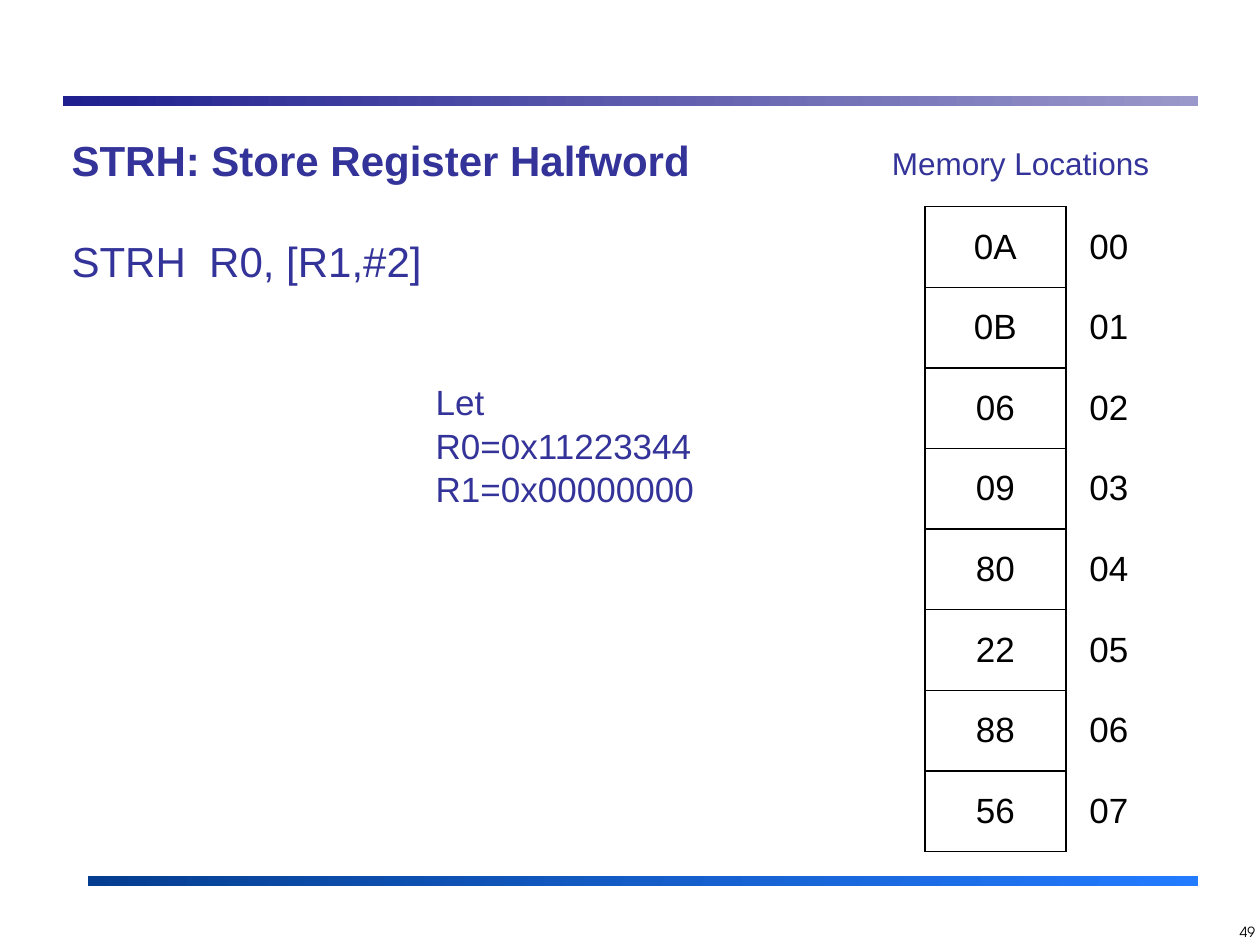
from dataclasses import dataclass

from lxml.etree import SubElement
from pptx import Presentation
from pptx.dml.color import RGBColor
from pptx.enum.shapes import MSO_SHAPE
from pptx.enum.text import MSO_ANCHOR, PP_ALIGN
from pptx.oxml.ns import qn
from pptx.util import Inches, Pt


@dataclass(frozen=True)
class Theme:
    font: str = "Arial"
    number_font: str = "TeX Gyre Adventor"
    accent: str = "333399"
    ink: str = "000000"
    title_size: float = 24
    body_size: float = 20
    label_size: float = 18
    number_size: float = 8
    border_width: float = 1


THEME = Theme()


@dataclass(frozen=True)
class Box:
    left: float
    top: float
    width: float
    height: float

    def lengths(self):
        return [Inches(n) for n in (self.left, self.top, self.width, self.height)]


@dataclass(frozen=True)
class Bar:
    box: Box
    start: str
    end: str


@dataclass(frozen=True)
class TextBlock:
    box: Box
    lines: tuple[str, ...]
    size: float
    color: str = THEME.accent
    font: str = THEME.font
    align: PP_ALIGN = PP_ALIGN.LEFT
    gap: float = 0
    bold_first: bool = False


BARS = (
    Bar(Box(0.5, 0.76, 9.01, 0.08), "1F1F8F", "9A97CA"),
    Bar(Box(0.7, 6.95, 8.81, 0.08), "053E90", "237BFF"),
)
TEXT_BLOCKS = (
    TextBlock(Box(0.47, 1.02, 6.64, 1.31),
              ("STRH: Store Register Halfword", "STRH  R0, [R1,#2]"),
              THEME.title_size, gap=29, bold_first=True),
    TextBlock(Box(5.86, 1.09, 3.36, 0.4), ("Memory Locations",),
              THEME.label_size, align=PP_ALIGN.RIGHT),
    TextBlock(Box(3.36, 2.97, 2.4, 1.11),
              ("Let", "R0=0x11223344", "R1=0x00000000"),
              THEME.body_size, gap=1),
    TextBlock(Box(9.62, 7.28, 0.44, 0.31), ("49",), THEME.number_size,
              THEME.ink, THEME.number_font, PP_ALIGN.RIGHT),
)
MEMORY_BOX = Box(7.34, 1.64, 1.8, 5.12)
MEMORY_COLUMNS = (1.12, 0.68)
MEMORY_BYTES = ("0A", "0B", "06", "09", "80", "22", "88", "56")
SIDES = ("L", "R", "T", "B")


def style_paragraph(paragraph, size: float, color: str, font: str, align: PP_ALIGN) -> None:
    paragraph.alignment = align
    for run in paragraph.runs:
        run.font.size = Pt(size)
        run.font.name = font
        run.font.color.rgb = RGBColor.from_string(color)


def add_bar(slide, bar: Bar) -> None:
    shape = slide.shapes.add_shape(MSO_SHAPE.RECTANGLE, *bar.box.lengths())
    shape.shadow.inherit = False
    shape.line.fill.background()
    shape.fill.gradient()
    shape.fill.gradient_angle = 0
    for stop, color in zip(shape.fill.gradient_stops, (bar.start, bar.end)):
        stop.color.rgb = RGBColor.from_string(color)


def add_text(slide, block: TextBlock) -> None:
    text_frame = slide.shapes.add_textbox(*block.box.lengths()).text_frame
    text_frame.word_wrap = True
    text_frame.text = "\n".join(block.lines)
    for index, paragraph in enumerate(text_frame.paragraphs):
        style_paragraph(paragraph, block.size, block.color, block.font, block.align)
        if index:
            paragraph.space_before = Pt(block.gap)
        else:
            paragraph.runs[0].font.bold = block.bold_first


def set_borders(cell, visible: tuple[str, ...]) -> None:
    """Draw the visible sides of a cell and clear the others."""
    properties = cell._tc.get_or_add_tcPr()
    for side in SIDES:
        line = SubElement(properties, qn(f"a:ln{side}"), w=str(Pt(THEME.border_width)))
        if side in visible:
            fill = SubElement(line, qn("a:solidFill"))
            SubElement(fill, qn("a:srgbClr"), val=THEME.ink)
        else:
            SubElement(line, qn("a:noFill"))


def add_memory_table(slide) -> None:
    """List each byte in a bordered cell with its address beside it."""
    row_count = len(MEMORY_BYTES)
    table = slide.shapes.add_table(
        row_count, len(MEMORY_COLUMNS), *MEMORY_BOX.lengths()).table
    table.first_row = False
    table.horz_banding = False
    for column, width in zip(table.columns, MEMORY_COLUMNS):
        column.width = Inches(width)
    for address, value in enumerate(MEMORY_BYTES):
        table.rows[address].height = Inches(MEMORY_BOX.height / row_count)
        row = ((value, SIDES), (f"{address:02}", ("L",)))
        for column_index, (text, borders) in enumerate(row):
            cell = table.cell(address, column_index)
            set_borders(cell, borders)
            cell.fill.background()
            cell.vertical_anchor = MSO_ANCHOR.MIDDLE
            cell.text_frame.text = text
            style_paragraph(cell.text_frame.paragraphs[0], THEME.body_size,
                            THEME.ink, THEME.font, PP_ALIGN.CENTER)


def main() -> None:
    presentation = Presentation()
    presentation.slide_width = Inches(10)
    presentation.slide_height = Inches(7.5)
    slide = presentation.slides.add_slide(presentation.slide_layouts[6])
    for bar in BARS:
        add_bar(slide, bar)
    add_memory_table(slide)
    for block in TEXT_BLOCKS:
        add_text(slide, block)
    presentation.save("out.pptx")


if __name__ == "__main__":
    main()
